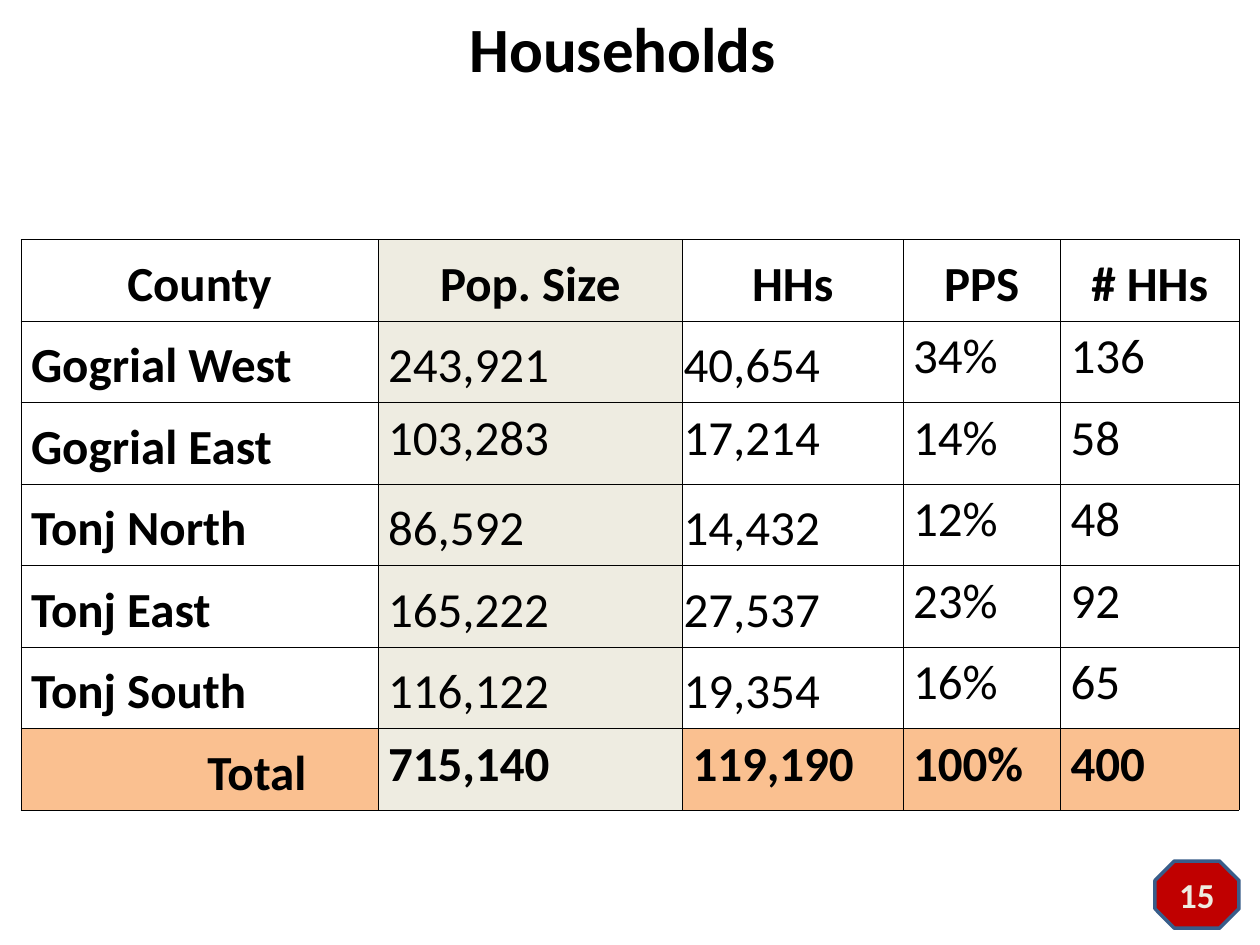
from lxml import etree
from pptx import Presentation
from pptx import util as u
from pptx.dml.color import RGBColor
from pptx.enum import shapes, text
from pptx.oxml import ns

COLS, ROWS = 120, 90
HUES = {"ink": "000000", "paper": "FFFFFF", "sand": "EEECE1",
        "peach": "FAC090", "red": "C00000", "blue": "385D8A"}
HEADS = ["County", "Pop. Size", "HHs", "PPS", "# HHs"]
COUNTIES = [
    ["Gogrial West", "243,921", "40,654", "34%", "136"],
    ["Gogrial East", "103,283", "17,214", "14%", "58"],
    ["Tonj North", "86,592", "14,432", "12%", "48"],
    ["Tonj East", "165,222", "27,537", "23%", "92"],
    ["Tonj South", "116,122", "19,354", "16%", "65"],
]
TOTAL = ["Total", "715,140", "119,190", "100%", "400"]
WIDTHS = [34, 29, 21, 15, 17]


class Deck:
    def __init__(self):
        self.file = Presentation()
        self.unit = u.Inches(10) / COLS
        self.file.slide_width, self.file.slide_height = self.box(COLS, ROWS)
        self.slide = self.file.slides.add_slide(self.file.slide_layouts[5])

    def box(self, *spots):
        return [round(spot * self.unit) for spot in spots]

    def hue(self, name):
        return RGBColor.from_string(HUES[name])

    def paint(self, item, name):
        item.fill.solid()
        item.fill.fore_color.rgb = self.hue(name)

    def label(self, frame, words, size, name="ink", bold=True, center=True):
        frame.text = words
        para = frame.paragraphs[0]
        para.alignment = text.PP_ALIGN.CENTER if center else text.PP_ALIGN.LEFT
        font = para.font
        font.name, font.size, font.bold = "Calibri", u.Pt(size), bold
        font.color.rgb = self.hue(name)
        return para

    def title(self, words, *spots):
        head = self.slide.shapes.title
        head.left, head.top, head.width, head.height = self.box(*spots)
        head.text_frame.vertical_anchor = text.MSO_ANCHOR.MIDDLE
        self.label(head.text_frame, words, 36)

    def badge(self, words, *spots):
        sign = self.slide.shapes.add_shape(shapes.MSO_SHAPE.OCTAGON, *self.box(*spots))
        sign.adjustments[0] = 0.29
        sign.shadow.inherit = False
        self.paint(sign, "red")
        sign.line.color.rgb, sign.line.width = self.hue("blue"), u.Pt(2)
        sign.text_frame.vertical_anchor = text.MSO_ANCHOR.MIDDLE
        self.label(sign.text_frame, words, 20, "sand")

    def border(self, cell):
        props = cell._tc.get_or_add_tcPr()
        for side in "LRTB":
            line = etree.SubElement(props, ns.qn(f"a:ln{side}"), w=str(u.Pt(0.45)))
            fill = etree.SubElement(line, ns.qn("a:solidFill"))
            etree.SubElement(fill, ns.qn("a:srgbClr"), val=HUES["ink"])

    def cell(self, cell, words, row, col, last):
        top, total = row == 0, row == last
        self.border(cell)
        self.paint(cell, "sand" if col == 1 else "peach" if total else "paper")
        cell.margin_left = cell.margin_right = u.Inches(0.08)
        if col == 2 and not top and not total:
            cell.margin_left = cell.margin_right = u.Inches(0.01)
        if col == 0 and total:
            cell.margin_left = u.Inches(1.48)
        if col in (1, 2) and row in (1, 3, 4, 5):
            cell.vertical_anchor = text.MSO_ANCHOR.BOTTOM
        para = self.label(cell.text_frame, words, 28,
                          bold=top or total or col == 0, center=top)
        if top or col == 0:
            para.line_spacing = 1.15
        if col == 0 and not top:
            para.space_after = u.Pt(5)

    def table(self, data, widths, left, top, tall):
        spots = self.box(left, top, sum(widths), tall * len(data))
        grid = self.slide.shapes.add_table(len(data), len(widths), *spots).table
        for col, wide in zip(grid.columns, self.box(*widths)):
            col.width = wide
        for row, line in enumerate(data):
            for col, words in enumerate(line):
                self.cell(grid.cell(row, col), words, row, col, len(data) - 1)


def main():
    deck = Deck()
    deck.title("Households ", 2, 0, 116, 9)
    deck.badge("15", 110, 82, 8, 6.4)
    deck.table([HEADS, *COUNTIES, TOTAL], WIDTHS, 2, 22.8, 7.3)
    deck.file.save("out.pptx")


if __name__ == "__main__":
    main()
